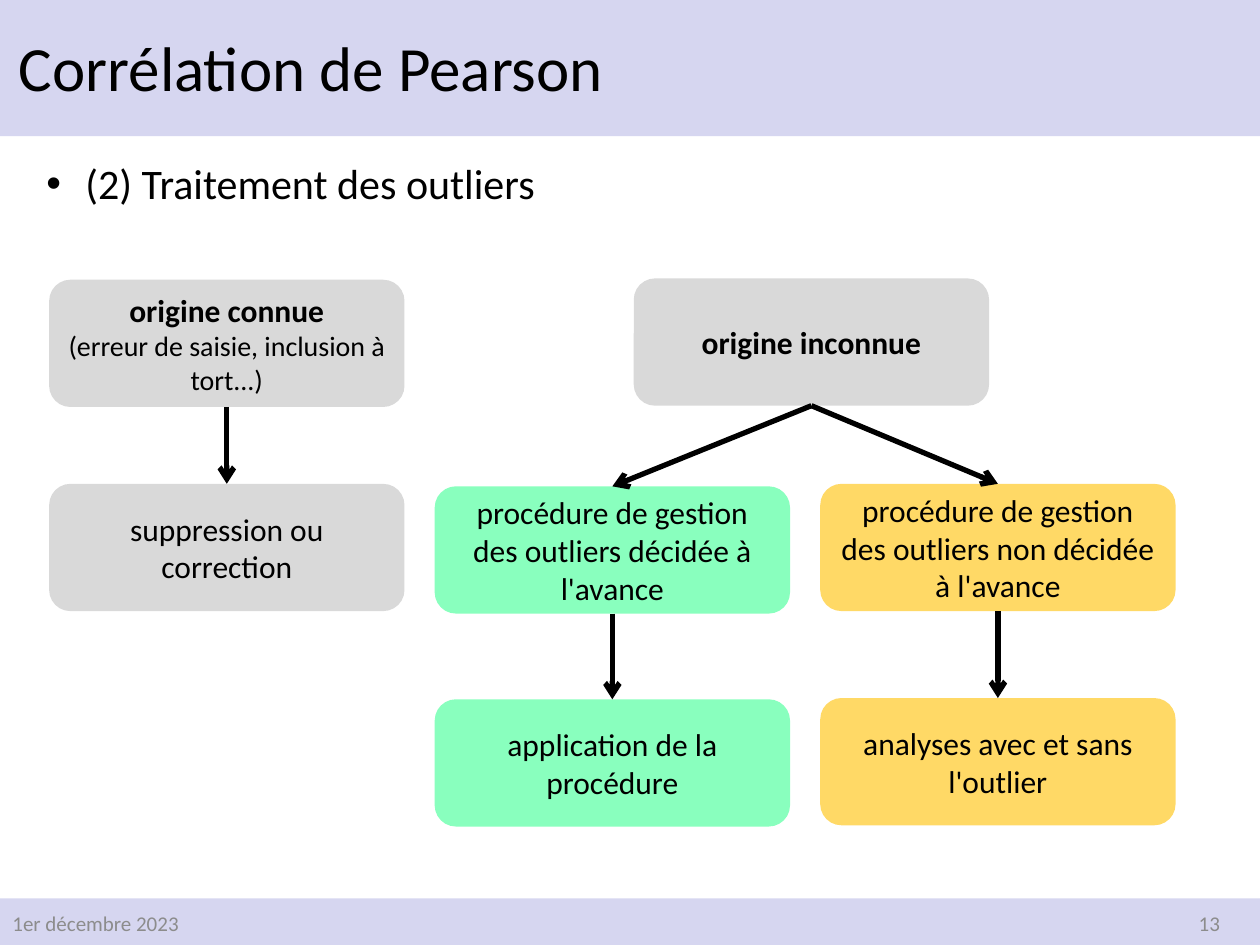
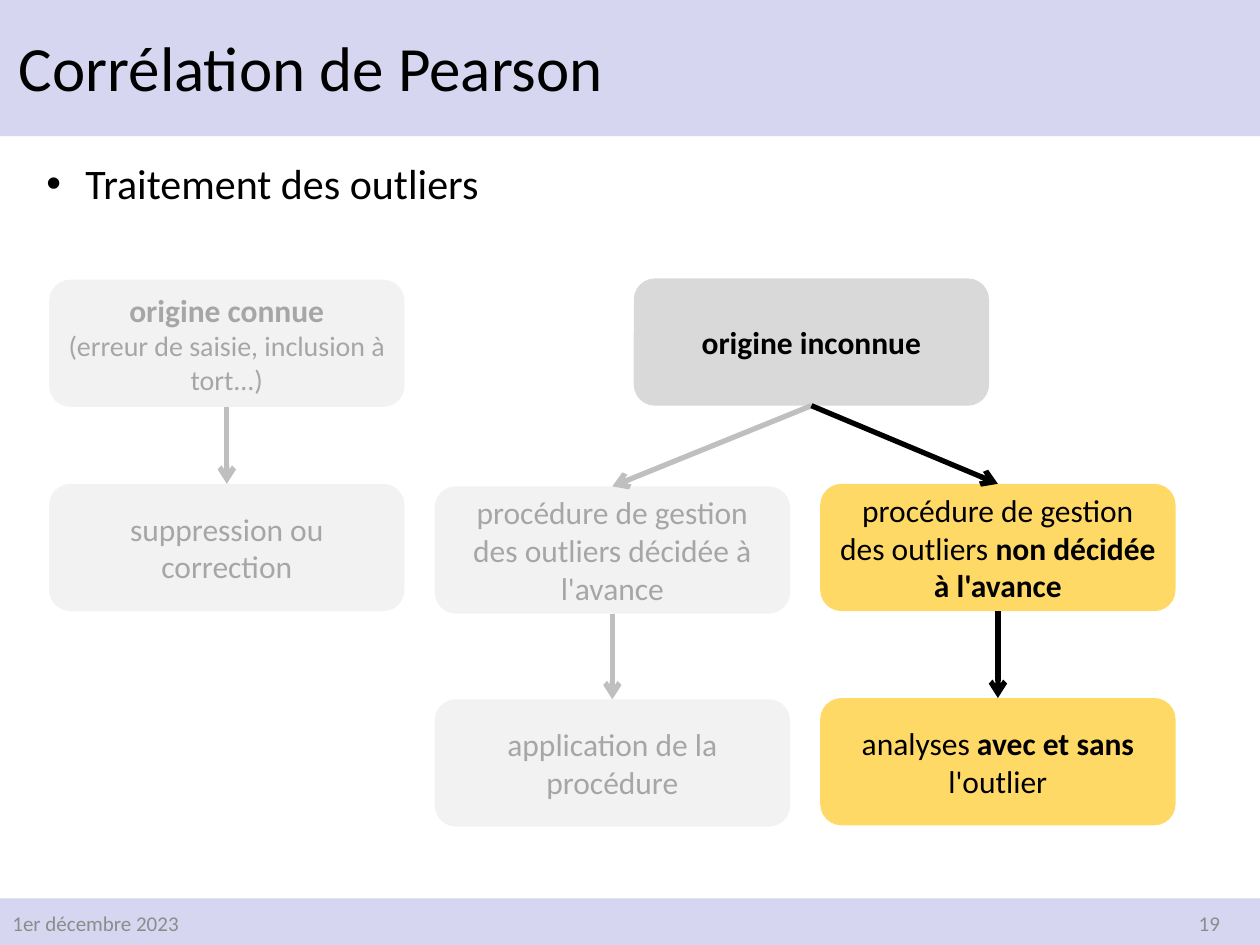
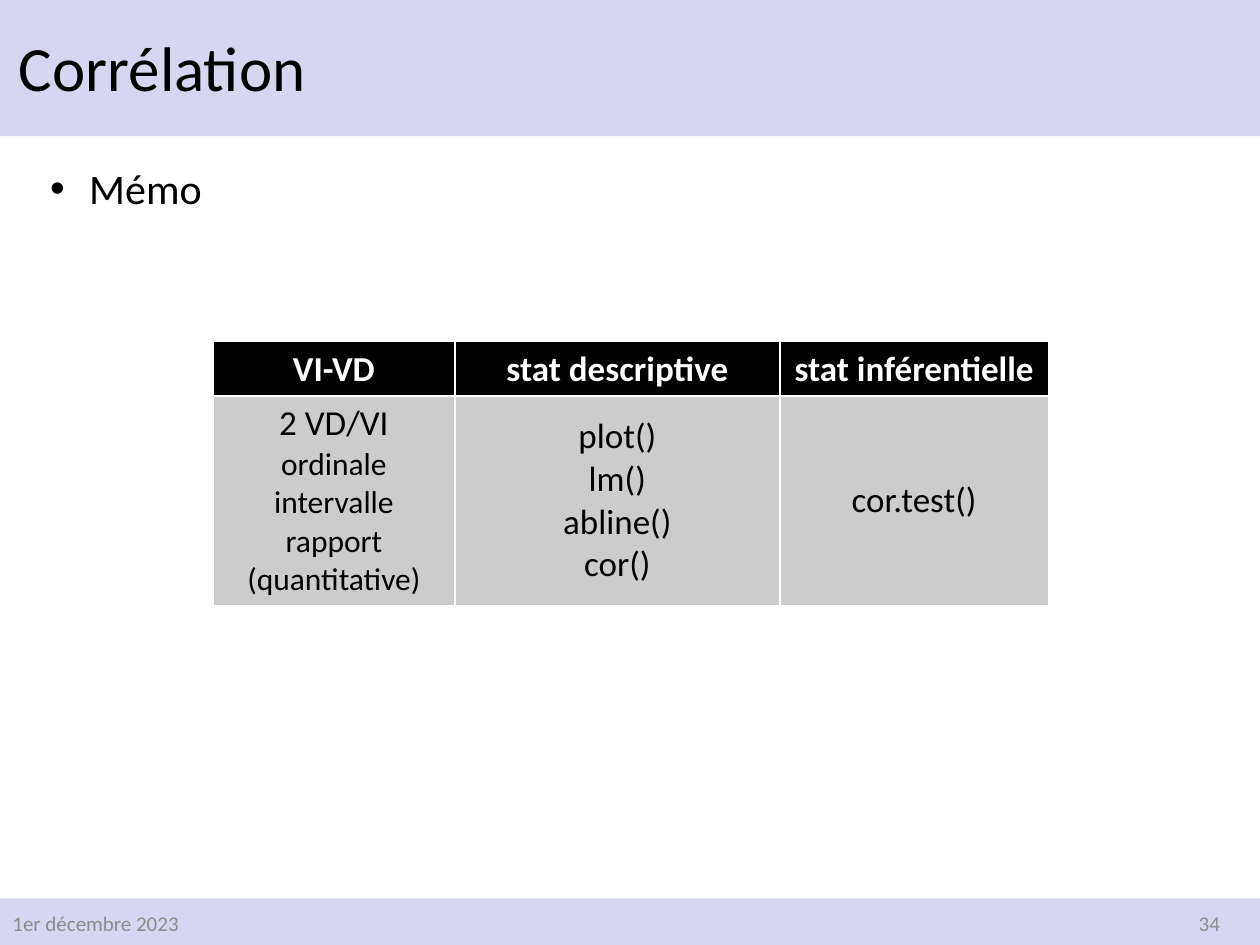
"""Build three slides on correlation: two outlier flowcharts and a memo table."""
from dataclasses import dataclass, replace

from lxml.etree import SubElement
from pptx import Presentation
from pptx.dml.color import RGBColor
from pptx.enum.shapes import MSO_CONNECTOR, MSO_SHAPE
from pptx.enum.text import MSO_ANCHOR, MSO_AUTO_SIZE, PP_ALIGN
from pptx.oxml.ns import qn
from pptx.util import Pt

PX = 9144
FONT = "Calibri"
BLACK, WHITE, LAVENDER = "000000", "FFFFFF", "D6D6F0"
GREY, GREEN, YELLOW = "D9D9D9", "89FFBE", "FFD966"
PALE, PALE_TEXT, PALE_LINE = "F2F2F2", "A6A6A6", "BFBFBF"
FOOTER_TEXT, CELL_FILL = "8C8C8C", "CCCCCC"
BANDS = [(-39, -31, 1061, 139), (-25, 713, 1061, 52)]
BOX_W, BOX_H = 282, 101
LEFT, MIDDLE, RIGHT = (39 + 306 * i for i in range(3))


@dataclass(frozen=True)
class Span:
    text: str
    size: int = 18
    bold: bool = False
    new_line: bool = False


@dataclass(frozen=True)
class Box:
    x: int
    y: int
    fill: str
    spans: tuple[Span, ...]
    color: str = BLACK


BOXES = {
    "known": Box(LEFT, 222, GREY, (
        Span("origine connue", bold=True),
        Span("(erreur de saisie, inclusion à tort...)", 16, new_line=True))),
    "unknown": Box(503, 221, GREY, (Span("origine inconnue", bold=True),)),
    "correction": Box(LEFT, 384, GREY, (Span("suppression ou correction"),)),
    "planned": Box(MIDDLE, 386, GREEN, (
        Span("procédure de gestion des outliers décidée à l'avance"),)),
    "unplanned": Box(RIGHT, 384, YELLOW, (
        Span("procédure de gestion des outliers non décidée à l'avance"),)),
    "application": Box(MIDDLE, 555, GREEN, (Span("application de la procédure"),)),
    "analyses": Box(RIGHT, 554, YELLOW, (Span("analyses avec et sans l'outlier"),)),
}
ARROWS = [("known", "correction"), ("unknown", "planned"), ("unknown", "unplanned"),
          ("planned", "application"), ("unplanned", "analyses")]
FADED = {"known", "correction", "planned", "application"}
EMPHASIS = {
    "unplanned": (Span("procédure de gestion des outliers "),
                  Span("non décidée à l'avance", bold=True)),
    "analyses": (Span("analyses "), Span("avec et sans ", bold=True), Span("l'outlier")),
}

MEMO_COLS = [192, 258, 213]
MEMO_ROWS = [41, 166]
MEMO_HEADER = ["VI-VD", "stat descriptive", "stat inférentielle"]
MEMO_BODY = [
    [(Span("2 VD/VI ", 20), Span("ordinale"), Span("intervalle", new_line=True),
      Span("rapport (quantitative)", new_line=True))],
    [(Span(name, 20),) for name in ("plot()", "lm()", "abline()", "cor()")],
    [(Span("cor.test()", 20),)],
]


def rgb(color: str) -> RGBColor:
    return RGBColor.from_string(color)


def px(*lengths: int) -> list[int]:
    return [length * PX for length in lengths]


def write(p, spans, color: str = BLACK, align=PP_ALIGN.LEFT) -> None:
    p.alignment = align
    for span in spans:
        if span.new_line:
            p.add_line_break()
        r = p.add_run()
        r.text = span.text
        r.font.name = FONT
        r.font.size = Pt(span.size)
        r.font.bold = span.bold
        r.font.color.rgb = rgb(color)


def add_filled(s, kind, frame, fill: str):
    sp = s.shapes.add_shape(kind, *px(*frame))
    sp.shadow.inherit = False
    sp.fill.solid()
    sp.fill.fore_color.rgb = rgb(fill)
    sp.line.fill.background()
    return sp


def add_text(s, frame, text: str, size: int, color: str, align=PP_ALIGN.LEFT):
    tf = s.shapes.add_textbox(*px(*frame)).text_frame
    tf.word_wrap = True
    write(tf.paragraphs[0], [Span(text, size)], color, align)
    return tf


def add_bullet(s, frame, text: str) -> None:
    tf = add_text(s, frame, text, 24, BLACK)
    tf.auto_size = MSO_AUTO_SIZE.SHAPE_TO_FIT_TEXT
    pPr = tf.paragraphs[0]._p.get_or_add_pPr()
    pPr.set("marL", str(31 * PX))
    pPr.set("indent", str(-31 * PX))
    SubElement(pPr, qn("a:buFont"), typeface="Arial")
    SubElement(pPr, qn("a:buChar"), char="•")


def new_slide(prs, title: str, number: int):
    s = prs.slides.add_slide(prs.slide_layouts[5])
    sp = s.shapes.title
    sp.left, sp.top, sp.width, sp.height = px(5, 7, 859, 99)
    for frame in BANDS:
        band = add_filled(s, MSO_SHAPE.RECTANGLE, frame, LAVENDER)
        sp.element.addprevious(band.element)
    tf = sp.text_frame
    tf.vertical_anchor = MSO_ANCHOR.MIDDLE
    write(tf.paragraphs[0], [Span(title, 36)])
    tf.paragraphs[0].line_spacing = 0.9
    for x, text, align in ((0, "1er décembre 2023", PP_ALIGN.LEFT),
                           (753, str(number), PP_ALIGN.RIGHT)):
        footer = add_text(s, (x, 713, 225, 40), text, 12, FOOTER_TEXT, align)
        footer.vertical_anchor = MSO_ANCHOR.MIDDLE
    return s


def add_box(s, box: Box):
    sp = add_filled(s, MSO_SHAPE.ROUNDED_RECTANGLE, (box.x, box.y, BOX_W, BOX_H), box.fill)
    tf = sp.text_frame
    tf.word_wrap = True
    tf.vertical_anchor = MSO_ANCHOR.MIDDLE
    write(tf.paragraphs[0], box.spans, box.color, PP_ALIGN.CENTER)
    return sp


def add_arrow(s, start, end, color: str) -> None:
    line = s.shapes.add_connector(MSO_CONNECTOR.STRAIGHT, 0, 0, 0, 0)
    line.begin_connect(start, 2)
    line.end_connect(end, 0)
    line.line.color.rgb = rgb(color)
    line.line.width = Pt(3)
    spPr = line.element.spPr
    SubElement(spPr.find(qn("a:ln")), qn("a:tailEnd"), type="arrow")
    SubElement(spPr, qn("a:effectLst"))


def add_flowchart(s, boxes: dict[str, Box], faded: set[str]) -> None:
    shapes = {name: add_box(s, box) for name, box in boxes.items()}
    for start, end in ARROWS:
        add_arrow(s, shapes[start], shapes[end], PALE_LINE if end in faded else BLACK)


def highlight(name: str, box: Box) -> Box:
    if name in FADED:
        return replace(box, fill=PALE, color=PALE_TEXT)
    return replace(box, spans=EMPHASIS.get(name, box.spans))


def fill_cell(cell, paragraphs, fill: str, color: str) -> None:
    cell.fill.solid()
    cell.fill.fore_color.rgb = rgb(fill)
    cell.vertical_anchor = MSO_ANCHOR.MIDDLE
    tf = cell.text_frame
    for i, spans in enumerate(paragraphs):
        p = tf.add_paragraph() if i else tf.paragraphs[0]
        write(p, spans, color, PP_ALIGN.CENTER)


def add_memo(s) -> None:
    frame = px(169, 271, sum(MEMO_COLS), sum(MEMO_ROWS))
    table = s.shapes.add_table(len(MEMO_ROWS), len(MEMO_COLS), *frame).table
    table.horz_banding = False
    for row, height in zip(table.rows, MEMO_ROWS):
        row.height = height * PX
    for i, width in enumerate(MEMO_COLS):
        table.columns[i].width = width * PX
        header = [(Span(MEMO_HEADER[i], 20, True),)]
        fill_cell(table.cell(0, i), header, BLACK, WHITE)
        fill_cell(table.cell(1, i), MEMO_BODY[i], CELL_FILL, BLACK)


def main() -> None:
    prs = Presentation()
    prs.slide_width, prs.slide_height = px(1000, 750)

    s = new_slide(prs, "Corrélation de Pearson", 13)
    add_bullet(s, (27, 120, 905, 50), "(2) Traitement des outliers")
    add_flowchart(s, BOXES, set())

    s = new_slide(prs, "Corrélation de Pearson", 19)
    add_bullet(s, (27, 120, 905, 50), "Traitement des outliers")
    add_flowchart(s, {name: highlight(name, box) for name, box in BOXES.items()}, FADED)

    s = new_slide(prs, "Corrélation", 34)
    add_memo(s)
    add_bullet(s, (30, 124, 638, 50), "Mémo")

    prs.save("out.pptx")


if __name__ == "__main__":
    main()
